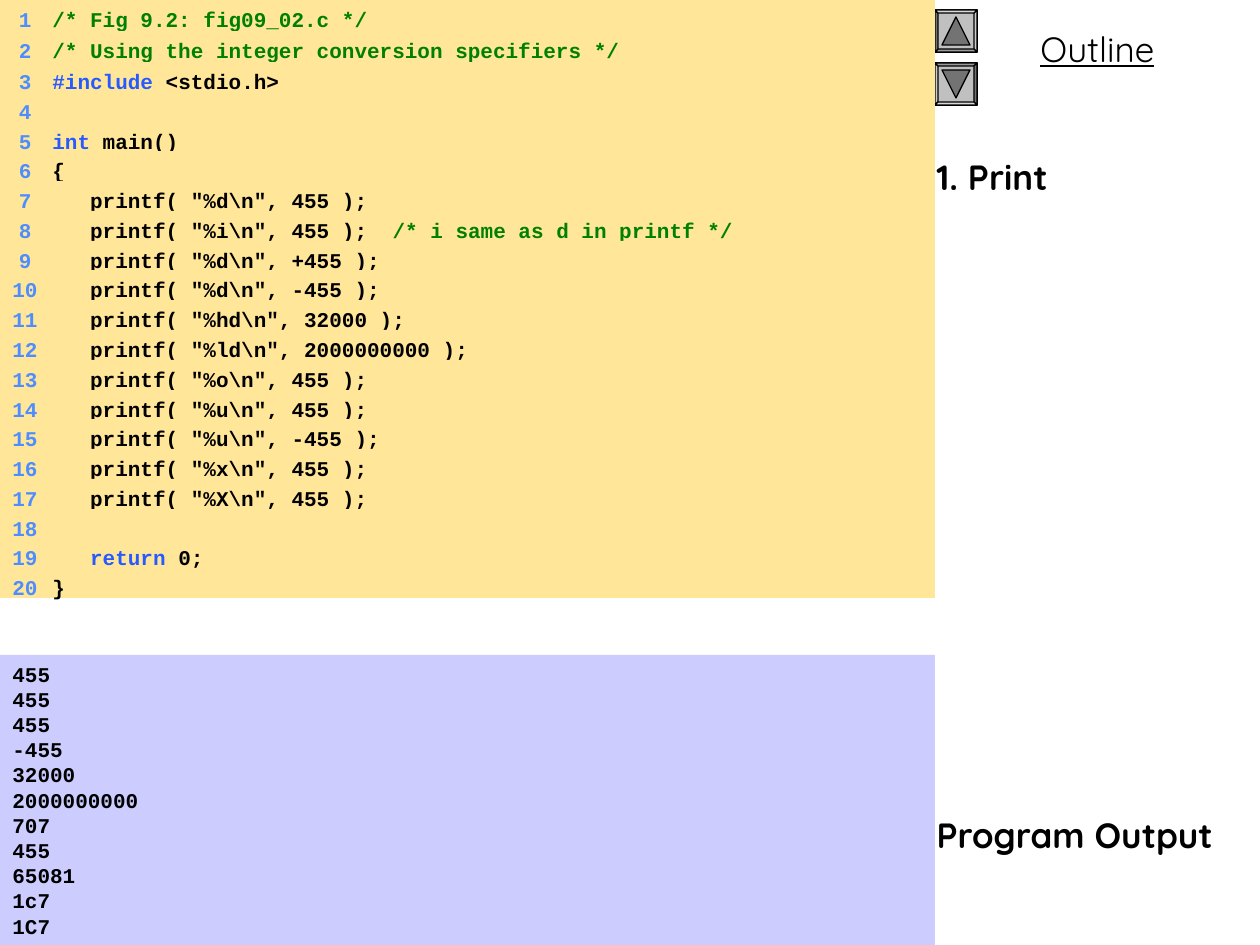
import pptx
import pptx.dml.color
import pptx.enum.shapes
import pptx.enum.text
import pptx.util
from lxml import etree

RGBColor = pptx.dml.color.RGBColor
BLACK = RGBColor(0x00, 0x00, 0x00)
GREEN = RGBColor(0x00, 0x80, 0x00)
KEYWORD = RGBColor(0x27, 0x5A, 0xFF)
NUMBER = RGBColor(0x4D, 0x8D, 0xFF)
CODE_FILL = RGBColor(0xFF, 0xE6, 0x99)
OUTPUT_FILL = RGBColor(0xCC, 0xCC, 0xFF)
FACE = RGBColor(0xC0, 0xC0, 0xC0)
LIGHT = RGBColor(0xD9, 0xD9, 0xD9)
PALE = RGBColor(0xCD, 0xCD, 0xCD)
GREY = RGBColor(0x9A, 0x9A, 0x9A)
DARK = RGBColor(0x73, 0x73, 0x73)

PX = 914400 / 126
CODE_WIDTH = 935
CODE_FONT = {"name": "Courier New", "size": pptx.util.Pt(12), "bold": True}
OUTLINE_FONT = {"name": "Quicksand", "size": pptx.util.Pt(20), "bold": False, "underline": True}
HEADING_FONT = {"name": "Quicksand", "size": pptx.util.Pt(20), "bold": True}
FRAME = {
    "word_wrap": True,
    "auto_size": pptx.enum.text.MSO_AUTO_SIZE.NONE,
    "vertical_anchor": pptx.enum.text.MSO_ANCHOR.TOP,
    "margin_left": pptx.util.Inches(0.1),
    "margin_right": pptx.util.Inches(0.1),
    "margin_top": pptx.util.Inches(0.05),
    "margin_bottom": pptx.util.Inches(0.05),
}


def place(box, left, top, width, height, fill=None):
    sides = {"left": left, "top": top, "width": width, "height": height}
    for name, length in sides.items():
        setattr(box, name, round(length * PX))
    for name, value in FRAME.items():
        setattr(box.text_frame, name, value)
    if fill is not None:
        box.shadow.inherit = False
        box.fill.solid()
        box.fill.fore_color.rgb = fill
        box.line.fill.background()


def add_span(para, words, font, color):
    span = para.add_run()
    span.text = words
    for name, value in font.items():
        setattr(span.font, name, value)
    span.font.color.rgb = color


deck = pptx.Presentation()
deck.slide_width = pptx.util.Inches(10)
deck.slide_height = pptx.util.Inches(7.5)
page = deck.slides.add_slide(deck.slide_layouts[0])
RECTANGLE = pptx.enum.shapes.MSO_SHAPE.RECTANGLE
LEFT = pptx.enum.text.PP_ALIGN.LEFT

title = page.shapes.title
place(title, 935, 21, 325, 55)
para = title.text_frame.paragraphs[0]
para.alignment = pptx.enum.text.PP_ALIGN.CENTER
add_span(para, "Outline", OUTLINE_FONT, BLACK)

headings = page.placeholders[1]
place(headings, 924, 105, 336, 840)
headings.text_frame.margin_top = round(50 * PX)
first = headings.text_frame.paragraphs[0]
second = headings.text_frame.add_paragraph()
for para, words, gap in [(first, "1. Print", 0), (second, "Program Output", 352)]:
    para.alignment = LEFT
    para.space_before = pptx.util.Pt(gap)
    add_span(para, words, HEADING_FONT, BLACK)

SIDE = 42
RIM = 3
INNER = SIDE - RIM
button_parts = [
    (FACE, [(0, 0), (SIDE, 0), (SIDE, SIDE), (0, SIDE)]),
    (PALE, [(SIDE, 0), (SIDE, SIDE), (INNER, INNER), (INNER, RIM)]),
    (GREY, [(SIDE, SIDE), (0, SIDE), (RIM, INNER), (INNER, INNER)]),
    (DARK, [(0, SIDE), (0, 0), (RIM, RIM), (RIM, INNER)]),
    (LIGHT, [(0, 0), (SIDE, 0), (INNER, RIM), (RIM, RIM)]),
    (DARK, [(21, 7), (35, 35), (7, 35)]),
]
for top, turned in [(10, False), (63, True)]:
    button = page.shapes.add_group_shape()
    for color, corners in button_parts:
        if turned:
            corners = [(SIDE - x, SIDE - y) for x, y in corners]
        points = [(CODE_WIDTH + x, top + y) for x, y in corners]
        outline = button.shapes.build_freeform(*points[0], scale=PX)
        outline.add_line_segments(points[1:], close=True)
        part = outline.convert_to_shape()
        part.shadow.inherit = False
        part.fill.solid()
        part.fill.fore_color.rgb = color
        part.line.color.rgb = BLACK
        part.line.width = pptx.util.Pt(0.75)

code_lines = [
    [("/* Fig 9.2: fig09_02.c */", GREEN)],
    [("/* Using the integer conversion specifiers */", GREEN)],
    [("#include", KEYWORD), (" <stdio.h>", BLACK)],
    [],
    [("int", KEYWORD), (" main()", BLACK)],
    [("{", BLACK)],
    [('   printf( "%d\\n", 455 );', BLACK)],
    [('   printf( "%i\\n", 455 );  ', BLACK), ("/* i same as d in printf */", GREEN)],
    [('   printf( "%d\\n", +455 );', BLACK)],
    [('   printf( "%d\\n", -455 );', BLACK)],
    [('   printf( "%hd\\n", 32000 );', BLACK)],
    [('   printf( "%ld\\n", 2000000000 );', BLACK)],
    [('   printf( "%o\\n", 455 );', BLACK)],
    [('   printf( "%u\\n", 455 );', BLACK)],
    [('   printf( "%u\\n", -455 );', BLACK)],
    [('   printf( "%x\\n", 455 );', BLACK)],
    [('   printf( "%X\\n", 455 );', BLACK)],
    [],
    [("   return", KEYWORD), (" 0;", BLACK)],
    [("}", BLACK)],
]
edges = [0, 31] + [62 + round(step * 536 / 18) for step in range(19)]
NAMESPACE = "{http://schemas.openxmlformats.org/drawingml/2006/main}"
for index, pieces in enumerate(code_lines):
    top, bottom = edges[index], edges[index + 1]
    row = page.shapes.add_shape(RECTANGLE, 0, 0, 0, 0)
    place(row, 0, top, CODE_WIDTH, bottom - top, CODE_FILL)
    para = row.text_frame.paragraphs[0]
    tabs = etree.SubElement(para._p.get_or_add_pPr(), NAMESPACE + "tabLst")
    for position, align in [(19, "r"), (40, "l")]:
        etree.SubElement(tabs, NAMESPACE + "tab", pos=str(round(position * PX)), algn=align)
    para.alignment = LEFT
    add_span(para, f"\t{index + 1}\t", CODE_FONT, NUMBER)
    for words, color in pieces:
        add_span(para, words, CODE_FONT, color)

results = ["455", "455", "455", "-455", "32000", "2000000000", "707", "455", "65081", "1c7", "1C7"]
output = page.shapes.add_shape(RECTANGLE, 0, 0, 0, 0)
place(output, 0, 655, CODE_WIDTH, 290, OUTPUT_FILL)
for index, words in enumerate(results):
    para = output.text_frame.add_paragraph() if index else output.text_frame.paragraphs[0]
    para.alignment = LEFT
    add_span(para, words, CODE_FONT, BLACK)

deck.save("out.pptx")
